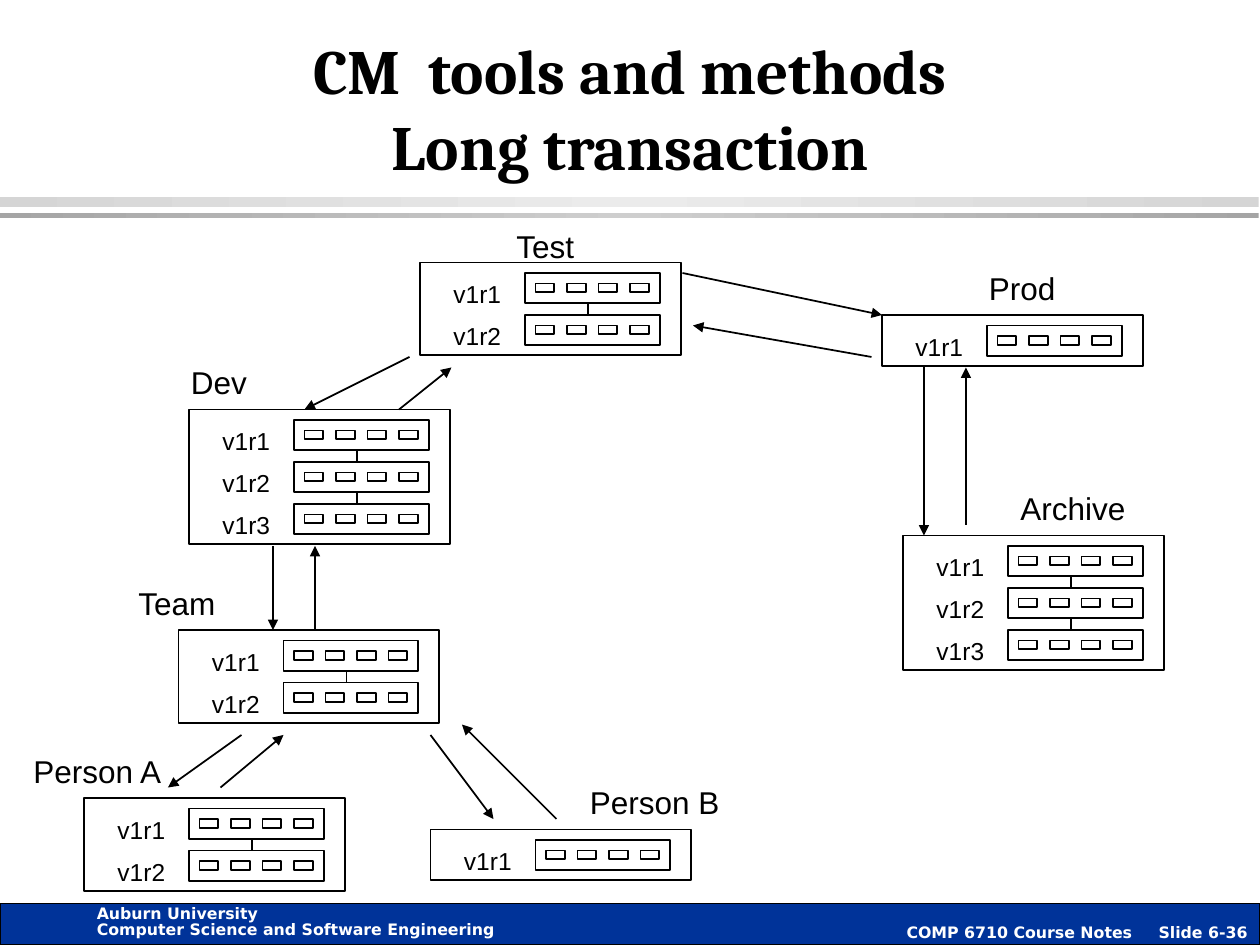
from copy import deepcopy
from lxml.etree import SubElement
from pptx import Presentation
from pptx.dml.color import RGBColor
from pptx.enum.shapes import MSO_CONNECTOR, MSO_SHAPE
from pptx.enum.text import MSO_ANCHOR, MSO_AUTO_SIZE, PP_ALIGN
from pptx.oxml.ns import qn
from pptx.util import Inches, Pt

UNIT = 1 / 12  # inches in one grid step
BLACK, WHITE, NAVY = "000000", "FFFFFF", "003399"

TITLE = ["CM  tools and methods", "Long transaction"]
SCHOOL = ["Auburn University", "Computer Science and Software Engineering"]
COURSE = "COMP 6710 Course Notes\tSlide 6-36"
# top and height in inches, edge colour, middle colour
RULES = [(1.56, 0.08, "D5D5D5", "EBEBEB"), (1.69, 0.04, "A5A5A5", "CECECE")]

# name, name position, store position (both in grid steps), releases
STORES = [
    ("Person A", (2, 71), (8, 76), 2),
    ("Team", (12, 55), (17, 60), 2),
    ("Test", (48, 21), (40, 25), 2),
    ("Prod", (93, 25), (84, 30), 1),
    ("Person B", (55, 74), (41, 79), 1),
    ("Dev", (17, 34), (18, 39), 3),
    ("Archive", (96, 46), (86, 51), 3),
]
# start and end of each transfer, in grid steps
MOVES = [
    ((21, 75), (27, 70)), ((23, 70), (16, 75)),    # Person A, Team
    ((41, 70), (47, 78)), ((53, 78), (44, 69)),    # Team, Person B
    ((26, 52), (26, 60)), ((30, 60), (30, 52)),    # Dev, Team
    ((39, 34), (29, 39)), ((38, 39), (43, 35)),    # Test, Dev
    ((65, 26), (84, 30)), ((83, 34), (66, 31)),    # Test, Prod
    ((88, 35), (88, 51)), ((92, 50), (92, 35)),    # Prod, Archive
]


def tint(code):
    return RGBColor.from_string(code)


def grid(*steps):
    return [Inches(n * UNIT) for n in steps]


def box(shapes, place, size):
    """Add an outlined, unfilled rectangle; size is in inches."""
    rect = shapes.add_shape(MSO_SHAPE.RECTANGLE, *place, *map(Inches, size))
    rect.shadow.inherit = False
    rect.fill.background()
    rect.line.color.rgb = tint(BLACK)
    rect.line.width = Pt(1)
    return rect


def write(para, words, size, face, color=BLACK, bold=False):
    run = para.add_run()
    run.text = words
    font = run.font
    font.size, font.name, font.bold = Pt(size), face, bold
    font.color.rgb = tint(color)


def label(shapes, place, size, words, points):
    text = shapes.add_textbox(*place, *map(Inches, size)).text_frame
    text.word_wrap = True
    text.auto_size = MSO_AUTO_SIZE.SHAPE_TO_FIT_TEXT
    write(text.paragraphs[0], words, points, "Arial")


def link(shapes, start, end, arrow=False):
    wire = shapes.add_connector(MSO_CONNECTOR.STRAIGHT, *grid(*start), *grid(*end))
    wire.line.color.rgb = tint(BLACK)
    wire.line.width = Pt(1)
    if arrow:
        SubElement(wire.get_or_add_ln(), qn("a:tailEnd"), type="triangle")
    SubElement(wire.element.spPr, qn("a:effectLst"))


def store(slide, left, top, count):
    """Draw a store with one labelled pack of four files per release."""
    shapes = slide.shapes.add_group_shape().shapes
    box(shapes, grid(left, top), (2.07, 0.07 + count * 4 * UNIT))
    for row in range(count):
        y = top + 1 + 4 * row
        box(shapes, grid(left + 10, y), (1.07, 0.24))
        for col in range(4):
            box(shapes, grid(left + 11 + 3 * col, y + 1), (0.15, 0.07))
        label(shapes, grid(left + 2, y), (0.59, 0.33), f"v1r{row + 1}", 14)
        if row:
            link(shapes, (left + 16, y - 1), (left + 16, y))


def rules(slide):
    shapes = slide.shapes.add_group_shape().shapes
    for top, height, edge, mid in RULES:
        bar = box(shapes, (0, Inches(top)), (9.99, height))
        bar.line.fill.background()
        bar.fill.gradient()
        bar.fill.gradient_angle = 0
        first = bar.element.spPr.find(".//" + qn("a:gs"))
        first.addnext(deepcopy(first))
        for stop, at, code in zip(bar.fill.gradient_stops, (0, 0.5, 1), (edge, mid, edge)):
            stop.position = at
            stop.color.rgb = tint(code)


def footer(slide):
    bar = box(slide.shapes, (0, Inches(7.17)), (10, 0.33))
    bar.fill.solid()
    bar.fill.fore_color.rgb = tint(NAVY)
    bar.line.width = Pt(0.75)
    text = bar.text_frame
    text.word_wrap = False
    text.vertical_anchor = MSO_ANCHOR.BOTTOM
    text.margin_bottom = Inches(0.03)
    para = text.paragraphs[0]
    para.alignment = PP_ALIGN.RIGHT
    write(para, COURSE, 9, "DejaVu Sans", WHITE, True)

    text = slide.shapes.add_textbox(*map(Inches, (0.67, 7.15, 3.36, 0.35))).text_frame
    text.word_wrap = False
    for i, line in enumerate(SCHOOL):
        para = text.add_paragraph() if i else text.paragraphs[0]
        para.line_spacing = Pt(9)
        write(para, line, 9, "DejaVu Sans", WHITE, True)


def heading(slide):
    title = slide.shapes.title
    title.left, title.top, title.width, title.height = map(Inches, (0.75, 0.25, 8.5, 1.25))
    text = title.text_frame
    text.auto_size = MSO_AUTO_SIZE.NONE
    text.vertical_anchor = MSO_ANCHOR.BOTTOM
    para = text.paragraphs[0]
    para.alignment = PP_ALIGN.CENTER
    for i, line in enumerate(TITLE):
        if i:
            para.add_line_break()
        write(para, line, 36, "Cambria", bold=True)


def main():
    deck = Presentation()
    deck.slide_width, deck.slide_height = Inches(10), Inches(7.5)
    slide = deck.slides.add_slide(deck.slide_layouts[5])
    rules(slide)
    footer(slide)
    heading(slide)
    for _, _, place, count in STORES:
        store(slide, *place, count)
    for start, end in MOVES:
        link(slide.shapes, start, end, arrow=True)
    for name, place, _, _ in STORES:
        label(slide.shapes, grid(*place), (1.43, 0.4), name, 18)
    deck.save("out.pptx")


if __name__ == "__main__":
    main()
